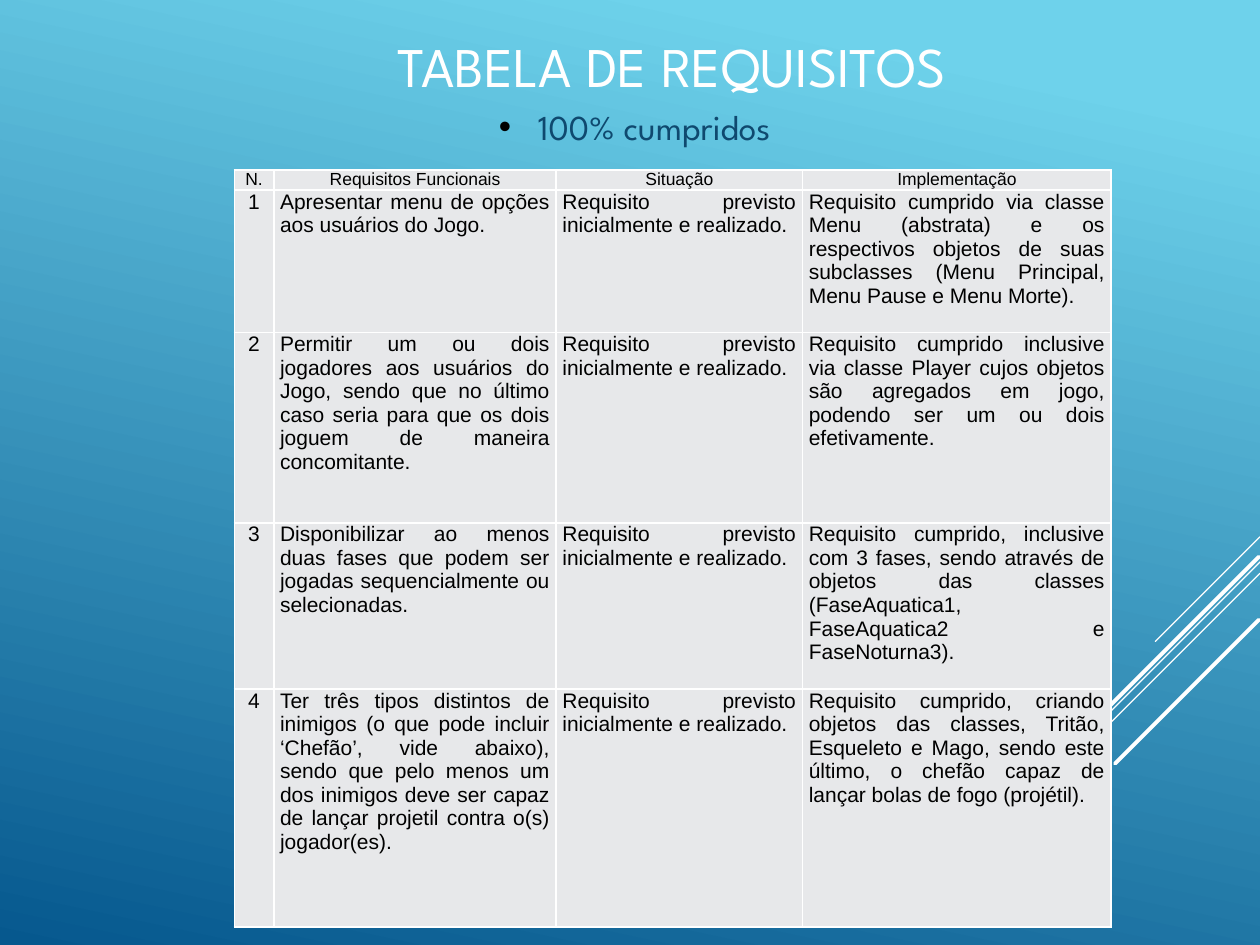
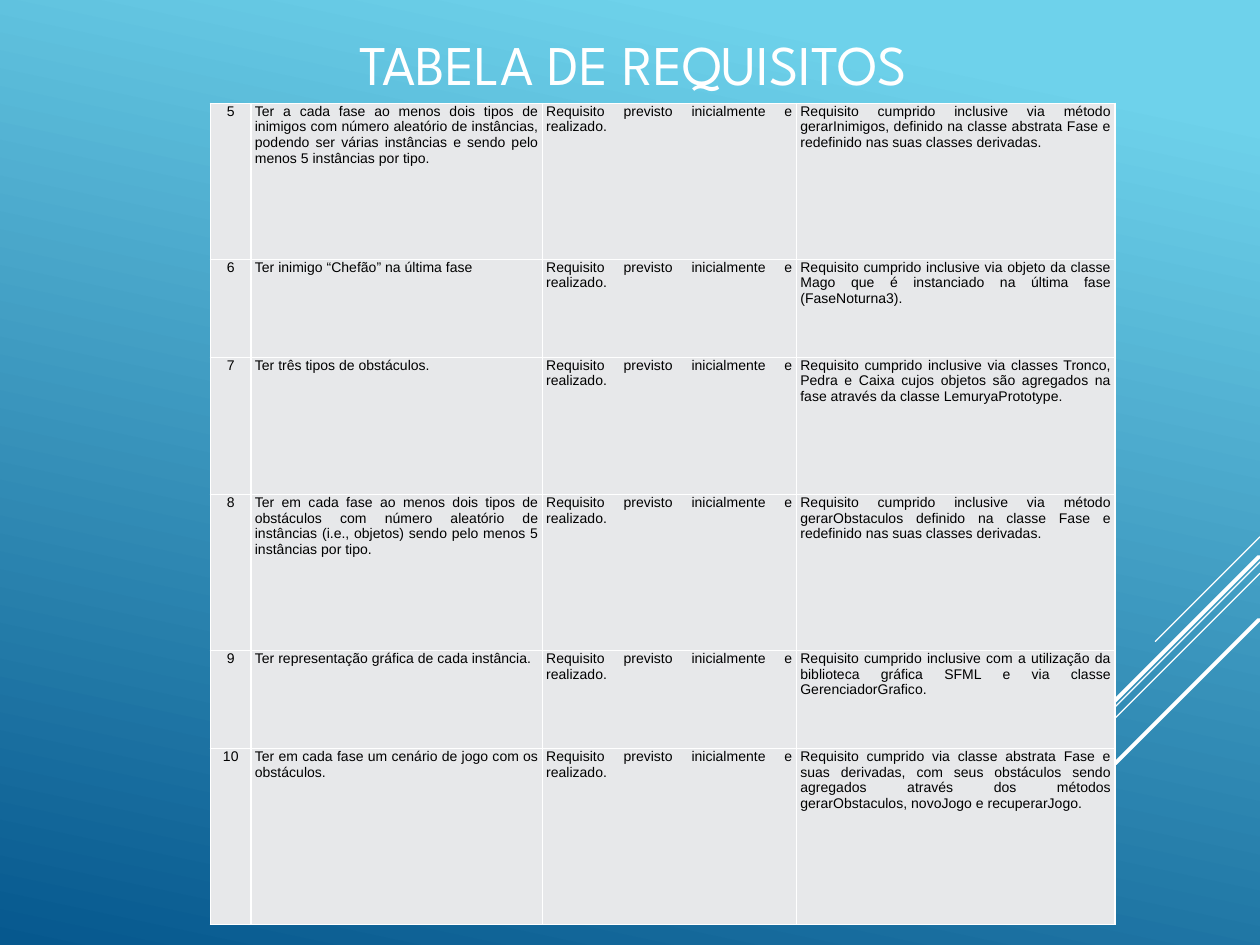
from dataclasses import dataclass

from lxml import etree
from pptx import Presentation
from pptx.dml.color import RGBColor
from pptx.enum.shapes import MSO_CONNECTOR
from pptx.enum.text import MSO_ANCHOR, MSO_AUTO_SIZE, PP_ALIGN
from pptx.oxml.ns import qn
from pptx.util import Inches, Pt

STRAIGHT = MSO_CONNECTOR.STRAIGHT
LEFT, CENTER, JUSTIFY = PP_ALIGN.LEFT, PP_ALIGN.CENTER, PP_ALIGN.JUSTIFY
TOP, MIDDLE = MSO_ANCHOR.TOP, MSO_ANCHOR.MIDDLE
NO_AUTOFIT = MSO_AUTO_SIZE.NONE

SLIDE_WIDTH, SLIDE_HEIGHT = Inches(10), Inches(7.5)
GRID_STEP = SLIDE_WIDTH / 100  # the slide is 100 columns by 75 rows
TITLE_AND_CONTENT, TITLE_ONLY = 1, 5


@dataclass(frozen=True)
class Theme:
    sky: str = "6ED2EB"
    deep_blue: str = "06588E"
    white: str = "FFFFFF"
    black: str = "000000"
    navy: str = "0F496F"
    cell: str = "E7E8EA"
    heading_font: str = "League Spartan"
    table_font: str = "Arial"
    title_size: int = 32
    subtitle_size: int = 20
    header_size: int = 10
    large_cell_size: int = 12
    small_cell_size: int = 8
    thin_line: float = 0.75
    thick_line: float = 2.25
    border: float = 1


THEME = Theme()

# Start column, start row and run of each 45-degree stripe, with its weight
STRIPES = [
    (100, 42.6, 8.3, THEME.thin_line),
    (100, 44.6, 27, THEME.thin_line),
    (100, 45.5, 17.2, THEME.thin_line),
    (99.9, 44.2, 15.7, THEME.thick_line),
    (99.9, 49.2, 11.4, THEME.thick_line),
]

TITLE = "TABELA DE REQUISITOS"
HEADER = ("N.", "Requisitos Funcionais", "Situação", "Implementação")
STATUS = "Requisito previsto inicialmente e realizado."
COLUMN_SHARES = (4.5, 32.2, 28.1, 35.2)

FIRST_REQUIREMENTS = [
    ("Apresentar menu de opções aos usuários do Jogo.",
     "Requisito cumprido via classe Menu (abstrata) e os respectivos objetos de suas "
     "subclasses (Menu Principal, Menu Pause e Menu Morte)."),
    ("Permitir um ou dois jogadores aos usuários do Jogo, sendo que no último caso "
     "seria para que os dois joguem de maneira concomitante.",
     "Requisito cumprido inclusive via classe Player cujos objetos são agregados em "
     "jogo, podendo ser um ou dois efetivamente."),
    ("Disponibilizar ao menos duas fases que podem ser jogadas sequencialmente ou "
     "selecionadas.",
     "Requisito cumprido, inclusive com 3 fases, sendo através de objetos das classes "
     "(FaseAquatica1, FaseAquatica2 e FaseNoturna3)."),
    ("Ter três tipos distintos de inimigos (o que pode incluir ‘Chefão’, vide abaixo), "
     "sendo que pelo menos um dos inimigos deve ser capaz de lançar projetil contra "
     "o(s) jogador(es).",
     "Requisito cumprido, criando objetos das classes, Tritão, Esqueleto e Mago, sendo "
     "este último, o chefão capaz de lançar bolas de fogo (projétil)."),
]

REMAINING_REQUIREMENTS = [
    ("Ter a cada fase ao menos dois tipos de inimigos com número aleatório de "
     "instâncias, podendo ser várias instâncias e sendo pelo menos 5 instâncias por tipo.",
     "Requisito cumprido inclusive via método gerarInimigos, definido na classe "
     "abstrata Fase e redefinido nas suas classes derivadas."),
    ("Ter inimigo “Chefão” na última fase",
     "Requisito cumprido inclusive via objeto da classe Mago que é instanciado na "
     "última fase (FaseNoturna3)."),
    ("Ter três tipos de obstáculos.",
     "Requisito cumprido inclusive via classes Tronco, Pedra e Caixa cujos objetos são "
     "agregados na fase através da classe LemuryaPrototype."),
    ("Ter em cada fase ao menos dois tipos de obstáculos com número aleatório de "
     "instâncias (i.e., objetos) sendo pelo menos 5 instâncias por tipo.",
     "Requisito cumprido inclusive via método gerarObstaculos definido na classe Fase "
     "e redefinido nas suas classes derivadas."),
    ("Ter representação gráfica de cada instância.",
     "Requisito cumprido inclusive com a utilização da biblioteca gráfica SFML e via "
     "classe GerenciadorGrafico."),
    ("Ter em cada fase um cenário de jogo com os obstáculos.",
     "Requisito cumprido via classe abstrata Fase e suas derivadas, com seus obstáculos "
     "sendo agregados através dos métodos gerarObstaculos, novoJogo e recuperarJogo."),
]


def grid(*units):
    """Turn grid units into slide lengths."""
    return [round(unit * GRID_STEP) for unit in units]


def rgb(color):
    return RGBColor.from_string(color)


def set_attributes(target, values):
    for name, value in values.items():
        setattr(target, name, value)


def add_solid_fill(parent, tag, color):
    """Add a colour-bearing element and return it."""
    element = etree.SubElement(parent, qn(tag))
    etree.SubElement(element, qn("a:srgbClr"), val=color)
    return element


def format_paragraph(paragraph, text, font, size, color, alignment):
    paragraph.text = text
    set_attributes(paragraph, {"alignment": alignment, "space_before": Pt(0)})
    set_attributes(paragraph.font, {"name": font, "size": Pt(size)})
    paragraph.font.color.rgb = rgb(color)


def paint_background(master):
    fill = master.background.fill
    fill.gradient()
    fill.gradient_angle = 360 - 102
    for stop, position, color in zip(fill.gradient_stops, (0.1, 1),
                                     (THEME.sky, THEME.deep_blue)):
        stop.position = position
        stop.color.rgb = rgb(color)


def draw_stripes(slide):
    for column, row, run, weight in STRIPES:
        ends = grid(column, row, column - run, row + run)
        stripe = slide.shapes.add_connector(STRAIGHT, *ends)
        stripe.line.color.rgb = rgb(THEME.white)
        stripe.line.width = Pt(weight)
        stripe.get_or_add_ln().set("cap", "rnd")
        etree.SubElement(stripe.element.spPr, qn("a:effectLst"))


def place_placeholder(shape, box, anchor):
    """Move a placeholder to its grid box and return its first paragraph."""
    set_attributes(shape, dict(zip(("left", "top", "width", "height"), grid(*box))))
    frame = shape.text_frame
    set_attributes(frame, {"word_wrap": True, "auto_size": NO_AUTOFIT,
                           "vertical_anchor": anchor})
    return frame.paragraphs[0]


def place_title(slide, box, alignment):
    paragraph = place_placeholder(slide.shapes.title, box, MIDDLE)
    format_paragraph(paragraph, TITLE, THEME.heading_font, THEME.title_size,
                     THEME.white, alignment)


def place_bullet(slide, box, text):
    paragraph = place_placeholder(slide.placeholders[1], box, TOP)
    indent = Inches(0.31)
    properties = paragraph._p.get_or_add_pPr()
    properties.set("marL", str(indent))
    properties.set("indent", str(-indent))
    add_solid_fill(properties, "a:buClr", THEME.black)
    etree.SubElement(properties, qn("a:buChar"), char="•")
    format_paragraph(paragraph, text, THEME.heading_font, THEME.subtitle_size,
                     THEME.navy, LEFT)


def format_cell(cell, text, size, alignment, inset):
    properties = cell._tc.get_or_add_tcPr()
    for side in "LRTB":
        border = etree.SubElement(properties, qn(f"a:ln{side}"),
                                  w=str(Pt(THEME.border)))
        add_solid_fill(border, "a:solidFill", THEME.white)
    cell.fill.solid()
    cell.fill.fore_color.rgb = rgb(THEME.cell)
    set_attributes(cell, {"margin_left": inset, "margin_right": inset,
                          "margin_top": 0, "margin_bottom": 0})
    format_paragraph(cell.text_frame.paragraphs[0], text, THEME.table_font, size,
                     THEME.black, alignment)


def requirement_rows(requirements, first_number):
    return [(str(number), requirement, STATUS, implementation)
            for number, (requirement, implementation)
            in enumerate(requirements, first_number)]


def place_table(slide, box, rows, row_shares, size, inset):
    left, top, width, height = grid(*box)
    table = slide.shapes.add_table(len(rows), len(COLUMN_SHARES),
                                   left, top, width, height).table
    set_attributes(table, {"first_row": False, "horz_banding": False})
    for column, share in zip(table.columns, COLUMN_SHARES):
        column.width = round(width * share / sum(COLUMN_SHARES))
    for row, share in zip(table.rows, row_shares):
        row.height = round(height * share / sum(row_shares))
    for row, texts in zip(table.rows, rows):
        is_header = texts == HEADER
        for index, (cell, text) in enumerate(zip(row.cells, texts)):
            format_cell(cell, text, THEME.header_size if is_header else size,
                        CENTER if is_header or index == 0 else JUSTIFY, inset)


def build_first_slide(presentation):
    slide = presentation.slides.add_slide(presentation.slide_layouts[TITLE_AND_CONTENT])
    draw_stripes(slide)
    place_title(slide, (17.5, 0, 71.7, 10.4), CENTER)
    place_bullet(slide, (38.6, 7.9, 29.7, 6.5), "100% cumpridos")
    place_table(slide, (18.6, 13.5, 69.6, 60.1),
                [HEADER] + requirement_rows(FIRST_REQUIREMENTS, 1),
                (0.16, 1.13, 1.51, 1.32, 1.89), THEME.large_cell_size, Inches(0.05))


def build_second_slide(presentation):
    slide = presentation.slides.add_slide(presentation.slide_layouts[TITLE_ONLY])
    draw_stripes(slide)
    place_title(slide, (27.5, -1.2, 71.7, 12.4), LEFT)
    place_table(slide, (16.7, 8.2, 71.8, 65.2),
                requirement_rows(REMAINING_REQUIREMENTS, len(FIRST_REQUIREMENTS) + 1),
                (1.24, 0.78, 1.09, 1.24, 0.78, 1.4), THEME.small_cell_size, Inches(0.03))


def main():
    presentation = Presentation()
    set_attributes(presentation, {"slide_width": SLIDE_WIDTH,
                                  "slide_height": SLIDE_HEIGHT})
    paint_background(presentation.slide_master)
    build_first_slide(presentation)
    build_second_slide(presentation)
    presentation.save("out.pptx")


if __name__ == "__main__":
    main()
